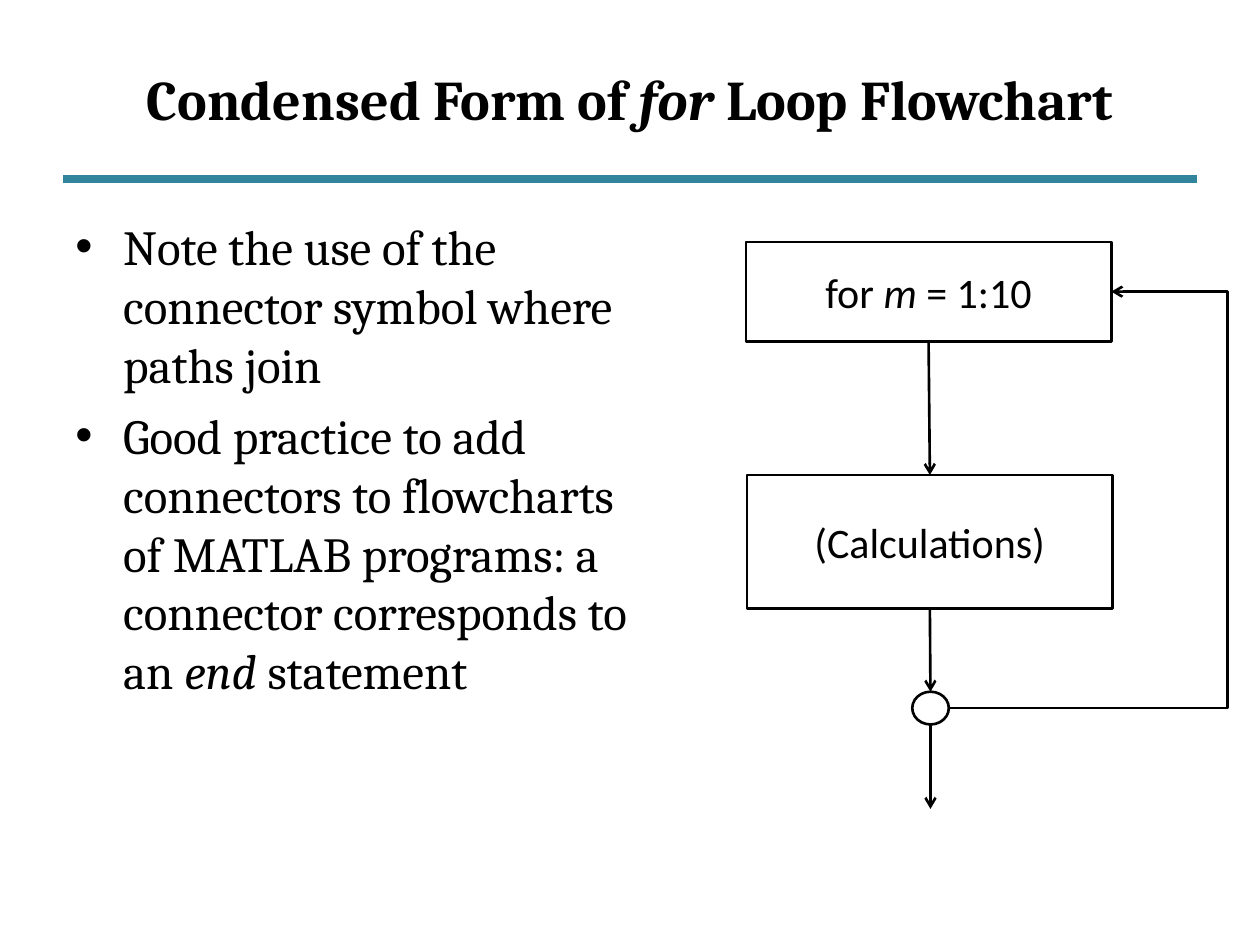
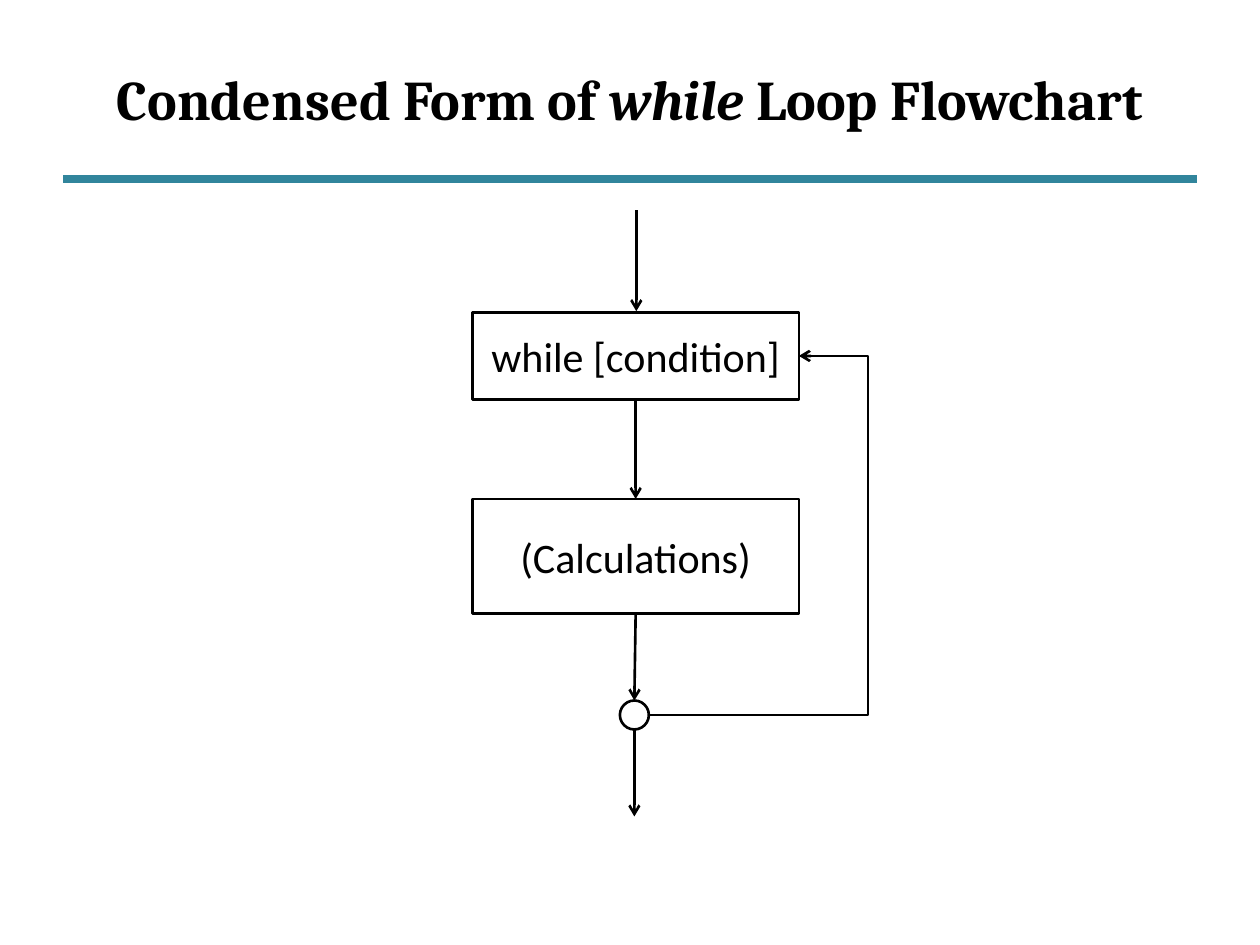
import pptx
import pptx.dml.color
import pptx.enum.shapes
import pptx.enum.text
import pptx.oxml
import pptx.oxml.ns
import pptx.util
from lxml import etree

BLACK = pptx.dml.color.RGBColor(0x00, 0x00, 0x00)
TEAL = pptx.dml.color.RGBColor(0x31, 0x85, 0x9C)
SHAPE = pptx.enum.shapes.MSO_SHAPE
CONNECTOR = pptx.enum.shapes.MSO_CONNECTOR
ALIGN = pptx.enum.text.PP_ALIGN
ANCHOR = pptx.enum.text.MSO_ANCHOR
qn = pptx.oxml.ns.qn

TITLE = dict(name="Cambria", size=pptx.util.Pt(32), bold=True)
BODY = dict(name="Cambria", size=pptx.util.Pt(28))
LABEL = dict(name="Calibri", size=pptx.util.Pt(24))


def px(length):
    """Convert px (100 to the inch) to EMU."""
    return pptx.util.Emu(int(length * 9144))


def center(box):
    x, y, w, h = box
    return x + w / 2, y + h / 2


class Deck:
    def __init__(self):
        self.prs = pptx.Presentation()
        self.prs.slide_width, self.prs.slide_height = px(1000), px(750)
        self.s = None

    # Slide frame: title and rule
    def slide(self, title):
        self.s = self.prs.slides.add_slide(self.prs.slide_layouts[6])
        self.line((50, 142), (950, 142), TEAL, 4.5)
        tf = self.textbox((50, 30, 900, 95))
        tf.vertical_anchor = ANCHOR.MIDDLE
        self.add_text(tf.paragraphs[0], title, TITLE, ALIGN.CENTER)

    # Text
    def textbox(self, box):
        tf = self.s.shapes.add_textbox(*map(px, box)).text_frame
        tf.word_wrap = True
        return tf

    def add_text(self, p, text, style, align=ALIGN.LEFT):
        """Fill one paragraph; parts between asterisks are italic."""
        p.alignment = align
        for i, part in enumerate(text.split("*")):
            r = p.add_run()
            r.text = part
            r.font.color.rgb = BLACK
            for key, value in dict(style, italic=i % 2 == 1).items():
                setattr(r.font, key, value)

    def bullets(self, box, items):
        tf = self.textbox(box)
        for i, item in enumerate(items):
            p = tf.add_paragraph() if i else tf.paragraphs[0]
            pPr = p._p.get_or_add_pPr()
            pPr.set("marL", str(px(38)))
            pPr.set("indent", str(-px(38)))
            etree.SubElement(pPr, qn("a:buFont"), typeface="Arial")
            etree.SubElement(pPr, qn("a:buChar"), char="•")
            if i:
                p.space_before = pptx.util.Pt(7)
            self.add_text(p, item, BODY)

    # Flowchart elements
    def node(self, kind, box, text=None):
        sp = self.s.shapes.add_shape(kind, *map(px, box))
        sp.shadow.inherit = False
        sp.fill.background()
        sp.line.color.rgb = BLACK
        sp.line.width = pptx.util.Pt(1.5)
        if text:
            tf = sp.text_frame
            tf.word_wrap = False
            tf.vertical_anchor = ANCHOR.MIDDLE
            self.add_text(tf.paragraphs[0], text, LABEL, ALIGN.CENTER)

    def line(self, start, end, color=BLACK, width=1.5, kind=CONNECTOR.STRAIGHT):
        cn = self.s.shapes.add_connector(kind, *map(px, start + end))
        cn.line.color.rgb = color
        cn.line.width = pptx.util.Pt(width)
        etree.SubElement(cn._element.spPr, qn("a:effectLst"))
        return cn

    def arrow(self, start, end, kind=CONNECTOR.STRAIGHT):
        cn = self.line(start, end, kind=kind)
        etree.SubElement(cn._element.spPr.get_or_add_ln(), qn("a:tailEnd"),
                         type="arrow")
        return cn

    def loop_back(self, start, end, turn_x):
        """Elbow arrow whose upright part stands at turn_x."""
        cn = self.arrow(start, end, CONNECTOR.ELBOW)
        adj = round(100000 * (turn_x - start[0]) / (end[0] - start[0]))
        av = cn._element.spPr.find(qn("a:prstGeom")).get_or_add_avLst()
        etree.SubElement(av, qn("a:gd"), name="adj1", fmla=f"val {adj}")

    def loop_chart(self, condition, head, body, ring, exit_y, turn_x):
        self.node(SHAPE.FLOWCHART_PROCESS, head, condition)
        self.node(SHAPE.FLOWCHART_PROCESS, body, "(Calculations)")
        self.node(SHAPE.OVAL, ring)
        # Downward arrows between neighbouring nodes, then the exit
        for upper, lower in ((head, body), (body, ring)):
            self.arrow((center(upper)[0], upper[1] + upper[3]),
                       (center(lower)[0], lower[1]))
        ring_x, ring_y = center(ring)
        self.arrow((ring_x, ring[1] + ring[3]), (ring_x, exit_y))
        self.loop_back((ring[0] + ring[2], ring_y),
                       (head[0] + head[2], center(head)[1]), turn_x)


def main():
    deck = Deck()

    # for loop
    deck.slide("Condensed Form of *for* Loop Flowchart")
    deck.bullets((50, 167, 483, 503), [
        "Note the use of the connector symbol where paths join",
        "Good practice to add connectors to flowcharts of MATLAB programs: "
        "a connector corresponds to an *end* statement",
    ])
    deck.loop_chart("for *m* = 1:10", head=(592, 192, 290, 79),
                    body=(593, 377, 290, 106), ring=(724, 549, 29, 26),
                    exit_y=642, turn_x=974)

    # while loop
    deck.slide("Condensed Form of *while* Loop Flowchart")
    deck.arrow((505, 167), (505, 247))
    deck.loop_chart("while [condition]", head=(375, 248, 259, 69),
                    body=(375, 396, 259, 91), ring=(492, 556, 23, 23),
                    exit_y=648, turn_x=689)

    deck.prs.save("out.pptx")


if __name__ == "__main__":
    main()
